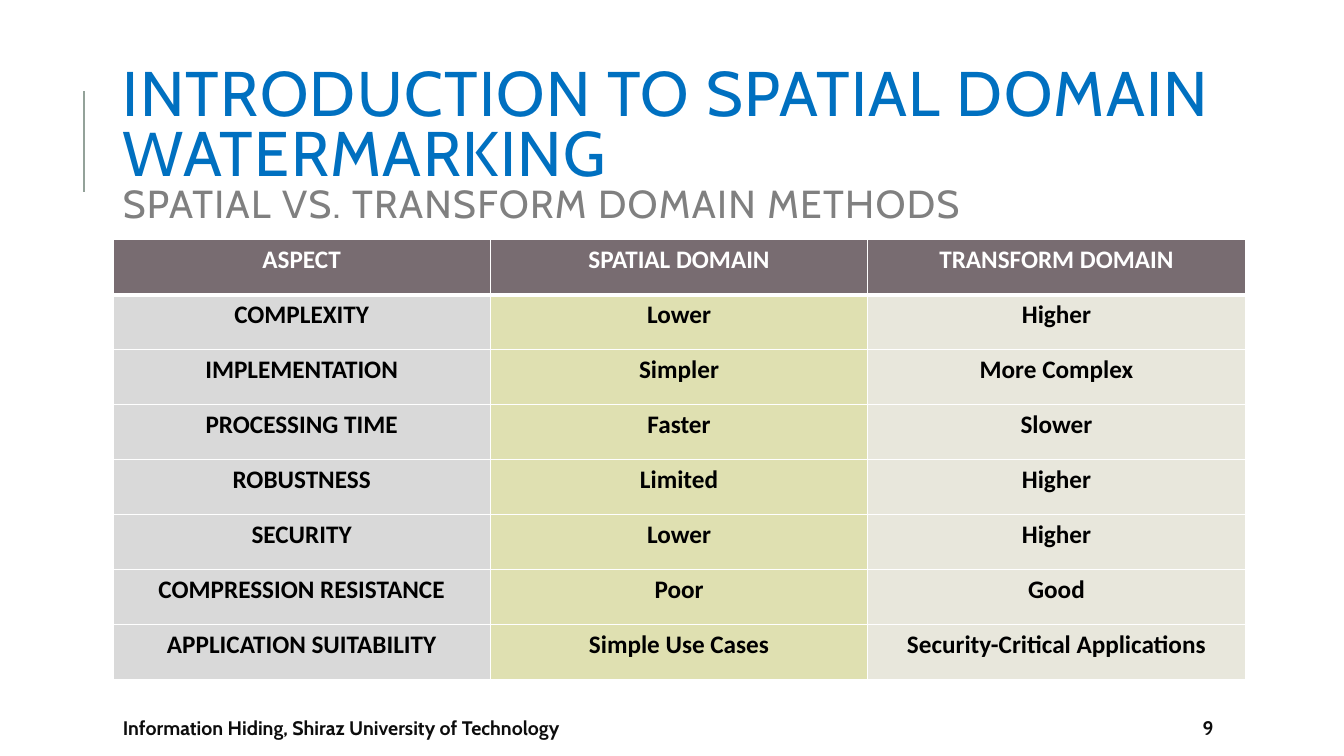
from lxml import etree
from pptx import Presentation
from pptx.dml.color import RGBColor
from pptx.enum.shapes import MSO_CONNECTOR
from pptx.enum.text import MSO_ANCHOR, PP_ALIGN
from pptx.oxml.ns import qn
from pptx.util import Inches, Pt

LINE = MSO_CONNECTOR.STRAIGHT
MIDDLE = MSO_ANCHOR.MIDDLE
CENTER = PP_ALIGN.CENTER

WHITE = RGBColor(0xFF, 0xFF, 0xFF)
BLACK = RGBColor(0, 0, 0)
INK = RGBColor(0x0D, 0x0D, 0x0D)
BLUE = RGBColor(0x00, 0x70, 0xC0)
GRAY = RGBColor(0x80, 0x80, 0x80)
SAGE = RGBColor(0x93, 0xA2, 0x99)
HEAD = RGBColor(0x78, 0x6C, 0x71)
COLUMNS = [RGBColor(0xD9, 0xD9, 0xD9), RGBColor(0xDF, 0xE0, 0xB1),
           RGBColor(0xE8, 0xE7, 0xDC)]

LEFT, WIDTH = 1.12, 11.23
ROWS = [
    ("ASPECT", "SPATIAL DOMAIN", "TRANSFORM DOMAIN"),
    ("COMPLEXITY", "Lower", "Higher"),
    ("IMPLEMENTATION", "Simpler", "More Complex"),
    ("PROCESSING TIME", "Faster", "Slower"),
    ("ROBUSTNESS", "Limited", "Higher"),
    ("SECURITY", "Lower", "Higher"),
    ("COMPRESSION RESISTANCE", "Poor", "Good"),
    ("APPLICATION SUITABILITY", "Simple Use Cases",
     "Security-Critical Applications"),
]


def add_run(para, text, size, color, face="Cabin", bold=False):
    run = para.add_run()
    run.text = text
    font = run.font
    font.name, font.size, font.bold = face, Pt(size), bold
    font.color.rgb = color
    return run


def add_box(slide, x, y, w, h):
    """Add a wrapping, vertically centred text box; return its paragraph."""
    shape = slide.shapes.add_textbox(
        Inches(x), Inches(y), Inches(w), Inches(h))
    frame = shape.text_frame
    frame.word_wrap = True
    frame.vertical_anchor = MIDDLE
    return frame.paragraphs[0]


def add_title(slide, x, y, w, h):
    rule_x = Inches(x - 0.29)
    rule = slide.shapes.add_connector(
        LINE, rule_x, Inches(y + 1.26), rule_x, Inches(y + 0.26))
    rule.line.color.rgb = SAGE
    rule.line.width = Pt(1.5)
    etree.SubElement(rule._element.spPr, qn("a:effectLst"))

    para = add_box(slide, x, y, w, h)
    para.line_spacing = 0.8
    title = add_run(
        para, "INTRODUCTION TO SPATIAL DOMAIN WATERMARKING", 45, BLUE)
    para.add_line_break()
    sub = add_run(para, "SPATIAL VS. TRANSFORM DOMAIN METHODS", 27.9, GRAY)
    for run in (title, sub):
        run.font._element.set("spc", "100")


def add_edges(cell, top, bottom):
    """Draw white cell borders; top and bottom are widths in points."""
    props = cell._tc.get_or_add_tcPr()
    for side, width in (("L", 1), ("R", 1), ("T", top), ("B", bottom)):
        edge = etree.SubElement(props, qn(f"a:ln{side}"), w=str(Pt(width)))
        fill = etree.SubElement(edge, qn("a:solidFill"))
        etree.SubElement(fill, qn("a:srgbClr"), val=str(WHITE))


def add_grid(slide, x, y, w, h):
    table = slide.shapes.add_table(
        len(ROWS), len(COLUMNS),
        Inches(x), Inches(y), Inches(w), Inches(h)).table
    for i, row in enumerate(ROWS):
        for j, text in enumerate(row):
            cell = table.cell(i, j)
            add_edges(cell, 3 if i == 1 else 1, 3 if i == 0 else 1)
            cell.fill.solid()
            cell.fill.fore_color.rgb = COLUMNS[j] if i else HEAD
            para = cell.text_frame.paragraphs[0]
            para.alignment = CENTER
            add_run(para, text, 18, BLACK if i else WHITE, "Calibri", True)


def add_footer(slide, x, y, w, h):
    num_w = 0.52
    parts = [
        ("Information Hiding, Shiraz University of Technology",
         x, w - num_w),
        ("9", x + w - num_w, num_w),
    ]
    for text, left, width in parts:
        para = add_box(slide, left, y, width, h)
        add_run(para, text, 14, INK, bold=True)


def main():
    deck = Presentation()
    deck.slide_width, deck.slide_height = Inches(13.33), Inches(7.5)
    slide = deck.slides.add_slide(deck.slide_layouts[6])
    add_title(slide, LEFT, 0.64, WIDTH, 1.64)
    add_grid(slide, LEFT, 2.38, WIDTH, 4.36)
    add_footer(slide, LEFT, 7.07, WIDTH, 0.3)
    deck.save("out.pptx")


if __name__ == "__main__":
    main()
